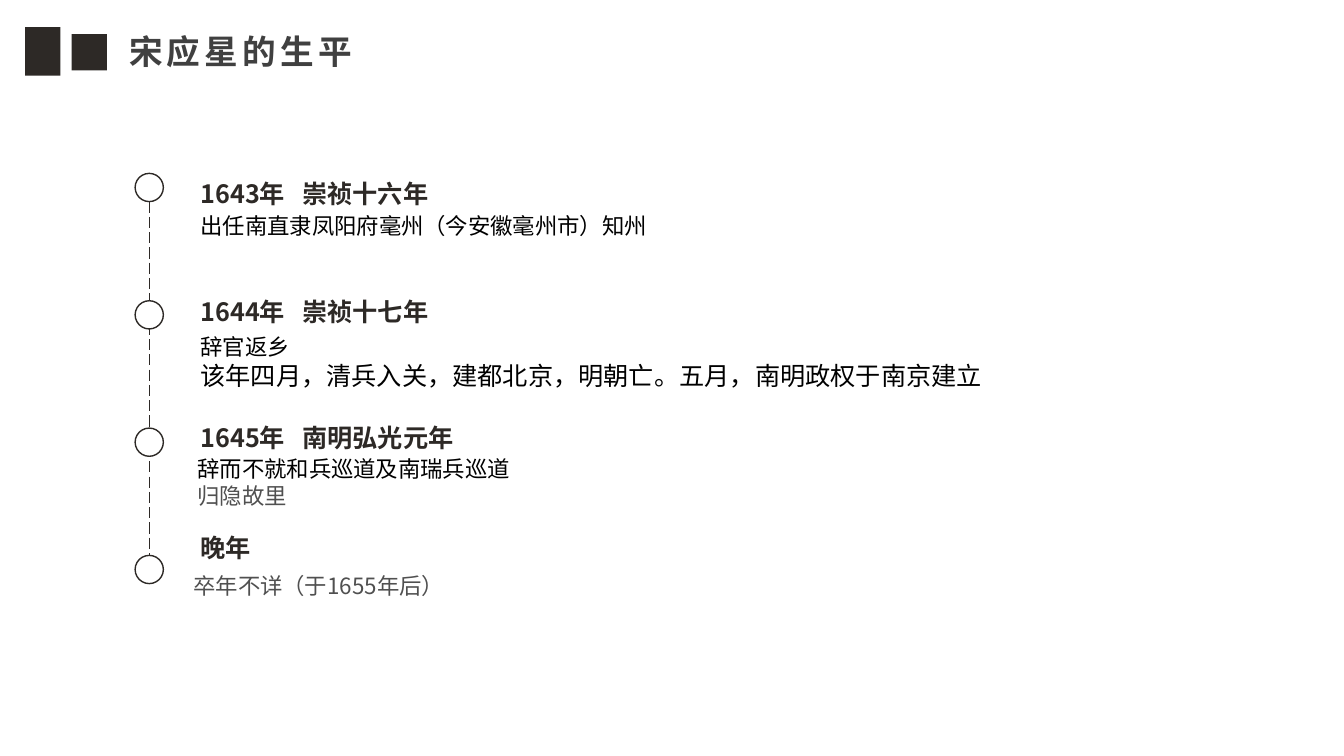
import pptx
import pptx.dml.color
import pptx.enum.dml
import pptx.enum.shapes
import pptx.enum.text
import pptx.oxml.ns
import pptx.util
from lxml import etree
from pptx.util import Inches

FONT = "Noto Sans CJK SC"
INK = "2D2926"
BLACK = "000000"
GREY = "505050"
TITLE_GREY = "404040"
WHITE = "FFFFFF"

HEADINGS = [
    (1.72, "1643年\t崇祯十六年"),
    (2.89, "1644年\t崇祯十七年"),
    (4.14, "1645年\t南明弘光元年"),
    (5.23, "晚年"),
]
DETAILS = [
    (1.89, 2.06, 0.37, [("出任南直隶凤阳府毫州（今安徽毫州市）知州", 16, BLACK)]),
    (1.89, 3.26, 0.67, [
        ("辞官返乡", 16, BLACK),
        ("该年四月，清兵入关，建都北京，明朝亡。五月，南明政权于南京建立", 18, BLACK),
    ]),
    (1.86, 4.47, 0.64, [
        ("辞而不就和兵巡道及南瑞兵巡道", 16, BLACK),
        ("归隐故里", 16, GREY),
    ]),
    (1.82, 5.63, 0.37, [("卒年不详（于1655年后）", 16, GREY)]),
]


def color(value):
    return pptx.dml.color.RGBColor.from_string(value)


def add_child(parent, tag, **attributes):
    return etree.SubElement(parent, pptx.oxml.ns.qn(tag), attributes)


def write(para, text, size=16, fill=BLACK, bold=False, spacing=0, tab=None):
    para.alignment = pptx.enum.text.PP_ALIGN.LEFT
    if tab is not None:
        stops = add_child(para._p.get_or_add_pPr(), "a:tabLst")
        add_child(stops, "a:tab", pos=str(Inches(tab)), algn="l")
    span = para.add_run()
    span.text = text
    span.font.size = pptx.util.Pt(size)
    span.font.bold = bold
    span.font.color.rgb = color(fill)
    span.font.name = FONT
    properties = span._r.get_or_add_rPr()
    add_child(properties, "a:ea", typeface=FONT)
    if spacing:
        properties.set("spc", str(spacing * 100))


def add_text_box(slide, left, top, width, height):
    box = slide.shapes.add_textbox(
        Inches(left), Inches(top), Inches(width), Inches(height))
    box.text_frame.word_wrap = True
    return box.text_frame


def add_heading(slide, top, text):
    frame = add_text_box(slide, 1.89, top, 10.06, 0.4)
    tab = 1.01 if "\t" in text else None
    write(frame.paragraphs[0], text, size=18, fill=INK, bold=True, tab=tab)


def add_detail(slide, left, top, height, lines):
    frame = add_text_box(slide, left, top, 10.13, height)
    for index, (text, size, fill) in enumerate(lines):
        para = frame.add_paragraph() if index else frame.paragraphs[0]
        write(para, text, size=size, fill=fill)


def add_shape(slide, kind, left, top, width, height, fill, outline=None):
    shape = slide.shapes.add_shape(
        kind, Inches(left), Inches(top), Inches(width), Inches(height))
    shape.shadow.inherit = False
    shape.fill.solid()
    shape.fill.fore_color.rgb = color(fill)
    if outline:
        shape.line.color.rgb = color(outline)
        shape.line.width = pptx.util.Pt(1)
    else:
        shape.line.fill.background()


def add_timeline(slide):
    axis = slide.shapes.add_connector(
        pptx.enum.shapes.MSO_CONNECTOR.STRAIGHT,
        Inches(1.48), Inches(2), Inches(1.48), Inches(5.64))
    axis.line.color.rgb = color(INK)
    axis.line.width = pptx.util.Pt(1)
    axis.line.dash_style = pptx.enum.dml.MSO_LINE.LONG_DASH
    add_child(axis._element.spPr, "a:effectLst")
    step = (5.51 - 1.72) / 3
    for index in range(4):
        add_shape(slide, pptx.enum.shapes.MSO_SHAPE.OVAL,
                  1.34, 1.72 + index * step, 0.28, 0.28, WHITE, outline=INK)


def add_title(slide, text):
    title = slide.shapes.title
    title.left, title.top = Inches(1.21), Inches(0.28)
    title.width, title.height = Inches(11.89), Inches(0.47)
    frame = title.text_frame
    frame.word_wrap = True
    frame.auto_size = pptx.enum.text.MSO_AUTO_SIZE.NONE
    frame.vertical_anchor = pptx.enum.text.MSO_ANCHOR.TOP
    frame.margin_left = frame.margin_right = Inches(0.07)
    frame.margin_top = frame.margin_bottom = Inches(0.03)
    write(frame.paragraphs[0], text, size=24, fill=TITLE_GREY, bold=True, spacing=3)


def main():
    deck = pptx.Presentation()
    deck.slide_width, deck.slide_height = Inches(13.33), Inches(7.5)
    page = deck.slides.add_slide(deck.slide_layouts.get_by_name("Title Only"))
    add_title(page, "宋应星的生平")
    rectangle = pptx.enum.shapes.MSO_SHAPE.RECTANGLE
    add_shape(page, rectangle, 0.25, 0.27, 0.35, 0.48, INK)
    add_shape(page, rectangle, 0.71, 0.34, 0.35, 0.36, INK)
    add_timeline(page)
    for top, text in HEADINGS:
        add_heading(page, top, text)
    for left, top, height, lines in DETAILS:
        add_detail(page, left, top, height, lines)
    deck.save("out.pptx")


if __name__ == "__main__":
    main()
